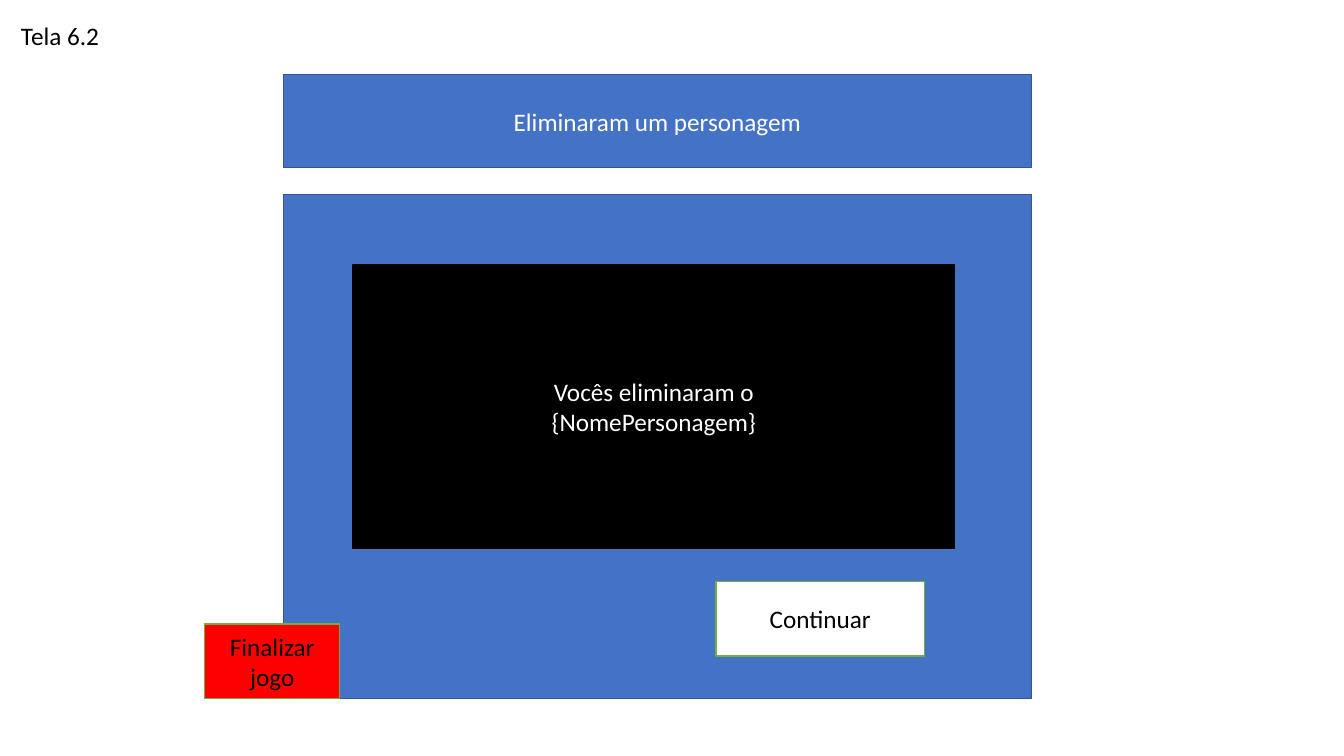
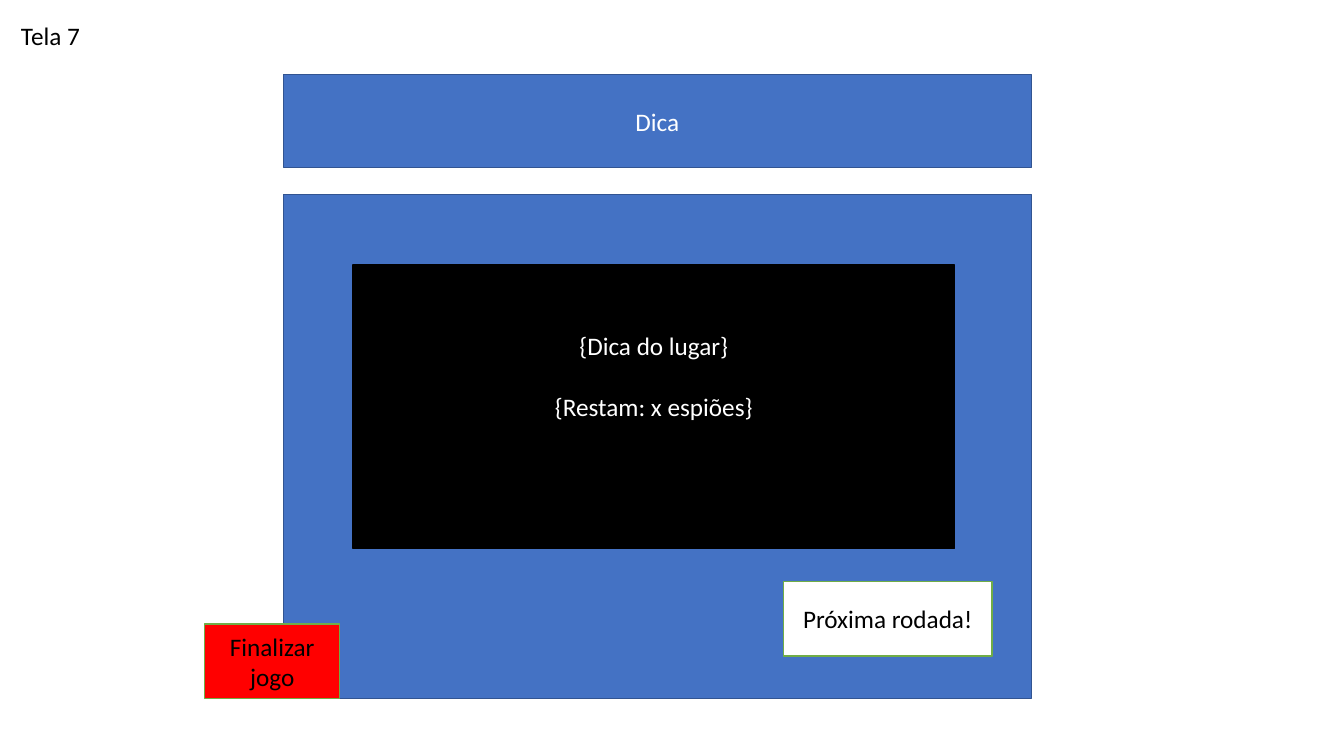
from pptx import Presentation
from pptx.dml.color import RGBColor
from pptx.enum.shapes import MSO_SHAPE
from pptx.enum.text import MSO_ANCHOR, MSO_AUTO_SIZE, PP_ALIGN
from pptx.util import Inches, Pt

RECT = MSO_SHAPE.RECTANGLE
MIDDLE = MSO_ANCHOR.MIDDLE
NO_FIT = MSO_AUTO_SIZE.NONE
FIT_SHAPE = MSO_AUTO_SIZE.SHAPE_TO_FIT_TEXT
LEFT, CENTER = PP_ALIGN.LEFT, PP_ALIGN.CENTER

COLORS = {
    "blue": "4472C4",
    "navy": "325491",
    "black": "000000",
    "white": "FFFFFF",
    "green": "70AD47",
    "red": "FF0000",
}
FONT = "Calibri"
SIZE = Pt(18)
LINE_HEIGHT = 22

HEADER = (2.81, 0.74, 7.42, 0.92)
PANEL = (2.81, 1.93, 7.42, 5)
BUTTON_H = 0.74

SCREENS = [
    {
        "label": "Tela 6.2",
        "label_w": 0.98,
        "title": "Eliminaram um personagem",
        "message": ["Vocês eliminaram o", "{NomePersonagem}"],
        "button": "Continuar",
        "button_dx": 4.29,
    },
    {
        "label": "Tela 7",
        "label_w": 0.79,
        "title": "Dica",
        "message": ["{Dica do lugar}", "{Restam: x espiões}"],
        "gap_lines": 1,
        "lift_lines": 2,
        "button": "Próxima rodada!",
        "button_dx": 4.96,
    },
]


def color(name):
    """Return the named palette colour."""
    return RGBColor.from_string(COLORS[name])


def place(sp, box):
    """Move and size a shape to a box in inches."""
    sp.left, sp.top, sp.width, sp.height = (Inches(v) for v in box)


def paint(sp, fill, line):
    """Set a shape's fill and outline."""
    sp.fill.solid()
    sp.fill.fore_color.rgb = color(fill)
    sp.line.color.rgb = color(line)
    sp.line.width = Pt(1)


def write(tf, lines, text_color, align=CENTER, gap=0):
    """Write one paragraph per line, with a gap in points between them."""
    for i, text in enumerate(lines):
        p = tf.add_paragraph() if i else tf.paragraphs[0]
        p.alignment = align
        if i:
            p.space_before = Pt(gap)
        r = p.add_run()
        r.text = text
        r.font.name = FONT
        r.font.size = SIZE
        r.font.color.rgb = color(text_color)


def add_box(s, box, fill, line, lines=(), text_color="white", gap=0):
    """Add a rectangle with centred text."""
    sp = s.shapes.add_shape(RECT, *(Inches(v) for v in box))
    sp.shadow.inherit = False
    paint(sp, fill, line)
    tf = sp.text_frame
    tf.word_wrap = True
    tf.vertical_anchor = MIDDLE
    write(tf, lines, text_color, gap=gap)
    return sp


def add_header(s, box, title):
    """Turn the title placeholder into the header band."""
    sp = s.shapes.title
    place(sp, box)
    paint(sp, "blue", "navy")
    tf = sp.text_frame
    tf.auto_size = NO_FIT
    tf.word_wrap = True
    tf.vertical_anchor = MIDDLE
    write(tf, [title], "white")


def add_label(s, box, label):
    """Add the screen number in the corner."""
    sp = s.shapes.add_textbox(*(Inches(v) for v in box))
    tf = sp.text_frame
    tf.word_wrap = False
    tf.auto_size = FIT_SHAPE
    write(tf, [label], "black", LEFT)


def add_panel(s, box, screen):
    """Add the panel with its message and two buttons."""
    x, y, w, h = box
    add_box(s, box, "blue", "navy")
    message = add_box(s, (x + 0.69, y + 0.7, 5.97, 2.81), "black", "black",
                      screen["message"],
                      gap=screen.get("gap_lines", 0) * LINE_HEIGHT)
    lift = screen.get("lift_lines", 0) * LINE_HEIGHT
    message.text_frame.margin_bottom = Inches(0.05) + Pt(lift)
    add_box(s, (x + screen["button_dx"], y + 3.84, 2.07, BUTTON_H),
            "white", "green", [screen["button"]], "black")
    add_box(s, (x - 0.78, y + h - BUTTON_H, 1.34, BUTTON_H),
            "red", "green", ["Finalizar jogo"], "black")


def add_screen(prs, screen):
    """Add one game screen slide."""
    s = prs.slides.add_slide(prs.slide_layouts[5])
    add_header(s, HEADER, screen["title"])
    add_label(s, (0.11, 0.15, screen["label_w"], 0.4), screen["label"])
    add_panel(s, PANEL, screen)


def main():
    """Build and save the presentation."""
    prs = Presentation()
    prs.slide_width = Inches(13.33)
    prs.slide_height = Inches(7.5)
    for screen in SCREENS:
        add_screen(prs, screen)
    prs.save("out.pptx")


if __name__ == "__main__":
    main()
